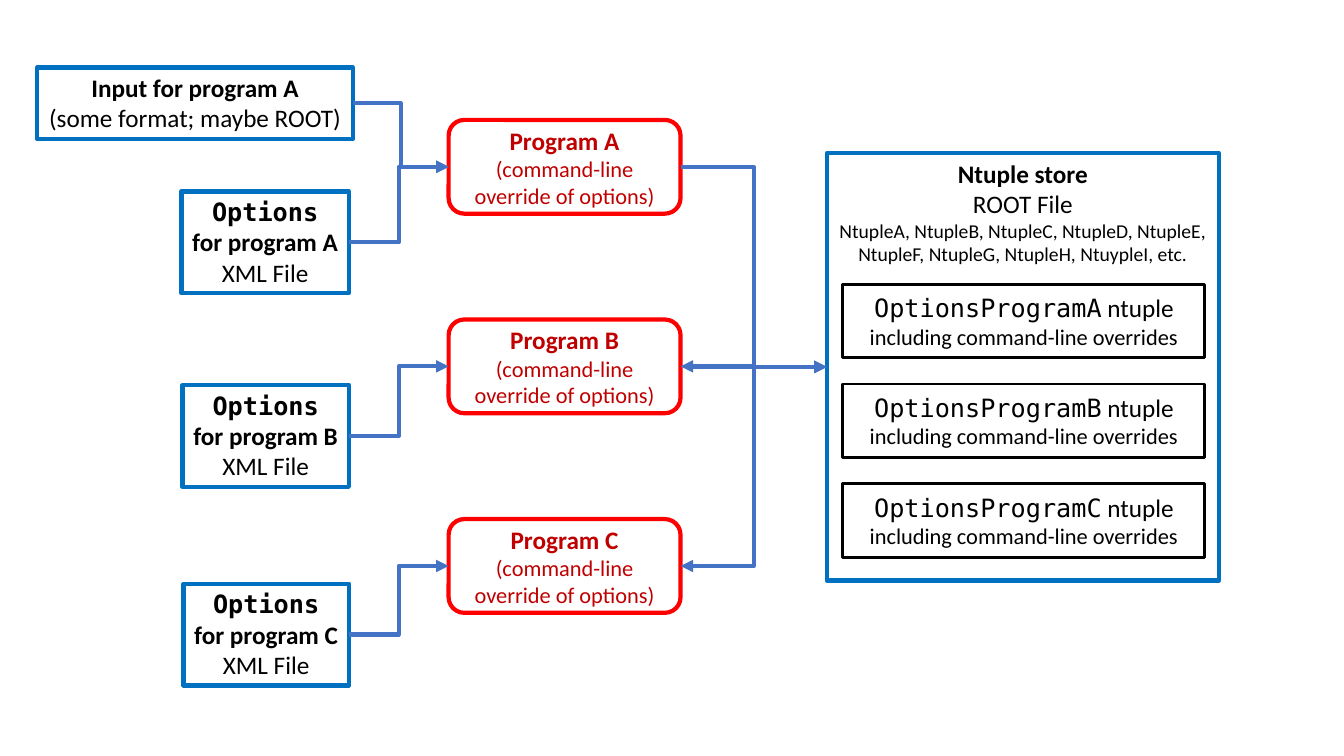
"""Build a slide showing how programs exchange options and ntuples with a store."""
from lxml.etree import SubElement
from pptx import Presentation
from pptx.dml.color import RGBColor
from pptx.enum.shapes import MSO_CONNECTOR, MSO_SHAPE
from pptx.enum.text import MSO_ANCHOR, MSO_AUTO_SIZE, PP_ALIGN
from pptx.oxml.ns import qn
from pptx.util import Inches, Pt

FILE_BLUE = RGBColor(0x00, 0x70, 0xC0)
ARROW_BLUE = RGBColor(0x44, 0x72, 0xC4)
PROGRAM_RED = RGBColor(0xFF, 0x00, 0x00)
PROGRAM_TEXT = RGBColor(0xC0, 0x00, 0x00)
BLACK = RGBColor(0x00, 0x00, 0x00)
WHITE = RGBColor(0xFF, 0xFF, 0xFF)

TITLE = {"name": "Calibri", "size": Pt(18), "bold": True}
BODY = {"name": "Calibri", "size": Pt(18), "bold": False}
DETAIL = {"name": "Calibri", "size": Pt(16), "bold": False}
LISTING = {"name": "Calibri", "size": Pt(14), "bold": False}
CODE = {"name": "DejaVu Sans Mono", "size": Pt(18), "bold": False}
CODE_TITLE = {"name": "DejaVu Sans Mono", "size": Pt(18), "bold": True}

FITTED = {"word_wrap": False, "auto_size": MSO_AUTO_SIZE.SHAPE_TO_FIT_TEXT,
          "vertical_anchor": MSO_ANCHOR.TOP}
TOP = {"word_wrap": True, "vertical_anchor": MSO_ANCHOR.TOP}
MIDDLE = {"word_wrap": True, "vertical_anchor": MSO_ANCHOR.MIDDLE}

LEFT_SITE, RIGHT_SITE = 1, 3

prs = Presentation()
prs.slide_width, prs.slide_height = Inches(13.33), Inches(7.5)
slide = prs.slides.add_slide(prs.slide_layouts[6])


def add_box(place, paragraphs, frame_format, outline=FILE_BLUE, weight=3,
            preset=MSO_SHAPE.RECTANGLE, color=BLACK, fill=None):
    box = slide.shapes.add_shape(preset, *[Inches(length) for length in place])
    box.shadow.inherit = False
    if fill is None:
        box.fill.background()
    else:
        box.fill.solid()
        box.fill.fore_color.rgb = fill
    box.line.color.rgb = outline
    box.line.width = Pt(weight)
    frame = box.text_frame
    for attribute, value in frame_format.items():
        setattr(frame, attribute, value)
    for index, runs in enumerate(paragraphs):
        paragraph = frame.add_paragraph() if index else frame.paragraphs[0]
        paragraph.alignment = PP_ALIGN.CENTER
        for text, font_format in runs:
            run = paragraph.add_run()
            run.text = text
            run.font.color.rgb = color
            for attribute, value in font_format.items():
                setattr(run.font, attribute, value)
    return box


def add_arrow(source, target, ends=("tailEnd",)):
    arrow = slide.shapes.add_connector(MSO_CONNECTOR.ELBOW, 0, 0, 0, 0)
    arrow.begin_connect(source, RIGHT_SITE)
    arrow.end_connect(target, LEFT_SITE)
    arrow.line.color.rgb = ARROW_BLUE
    arrow.line.width = Pt(3)
    for end in ends:
        SubElement(arrow.line._get_or_add_ln(), qn(f"a:{end}"), type="triangle")
    SubElement(arrow._element.spPr, qn("a:effectLst"))


program_input = add_box(
    (0.37, 0.67, 3.13, 0.71),
    [[("Input for program A", TITLE)], [("(some format; maybe ROOT)", BODY)]],
    FITTED)

ntuple_store = add_box(
    (8.2, 1.52, 3.89, 4.24),
    [[("Ntuple store", TITLE)],
     [("ROOT File", BODY)],
     [("NtupleA, NtupleB, NtupleC, NtupleD, NtupleE, "
       "NtupleF, NtupleG, NtupleH, NtuypleI, etc.", LISTING)]],
    TOP)

options_places = [(1.8, 1.9, 1.66, 1.01), (1.81, 3.82, 1.65, 1.01), (1.82, 5.79, 1.64, 1.01)]
for row, (letter, options_place) in enumerate(zip("ABC", options_places)):
    options_file = add_box(
        options_place,
        [[("Options", CODE_TITLE)],
         [(f"for program {letter}", TITLE)],
         [("XML File", BODY)]],
        FITTED)
    program = add_box(
        (4.45, 1.19 + 1.98 * row, 2.3, 0.93),
        [[(f"Program {letter}", TITLE)], [("(command-line override of options)", DETAIL)]],
        MIDDLE, PROGRAM_RED, preset=MSO_SHAPE.ROUNDED_RECTANGLE, color=PROGRAM_TEXT)
    add_box(
        (8.36, 2.82 + 0.99 * row, 3.59, 0.73),
        [[(f"OptionsProgram{letter}", CODE), (" ntuple", BODY)],
         [("including command-line overrides", DETAIL)]],
        MIDDLE, BLACK, weight=2, fill=WHITE)
    add_arrow(options_file, program)
    if letter == "A":
        add_arrow(program_input, program)
        add_arrow(program, ntuple_store)
    else:
        add_arrow(program, ntuple_store, ("headEnd", "tailEnd"))

prs.save("out.pptx")
